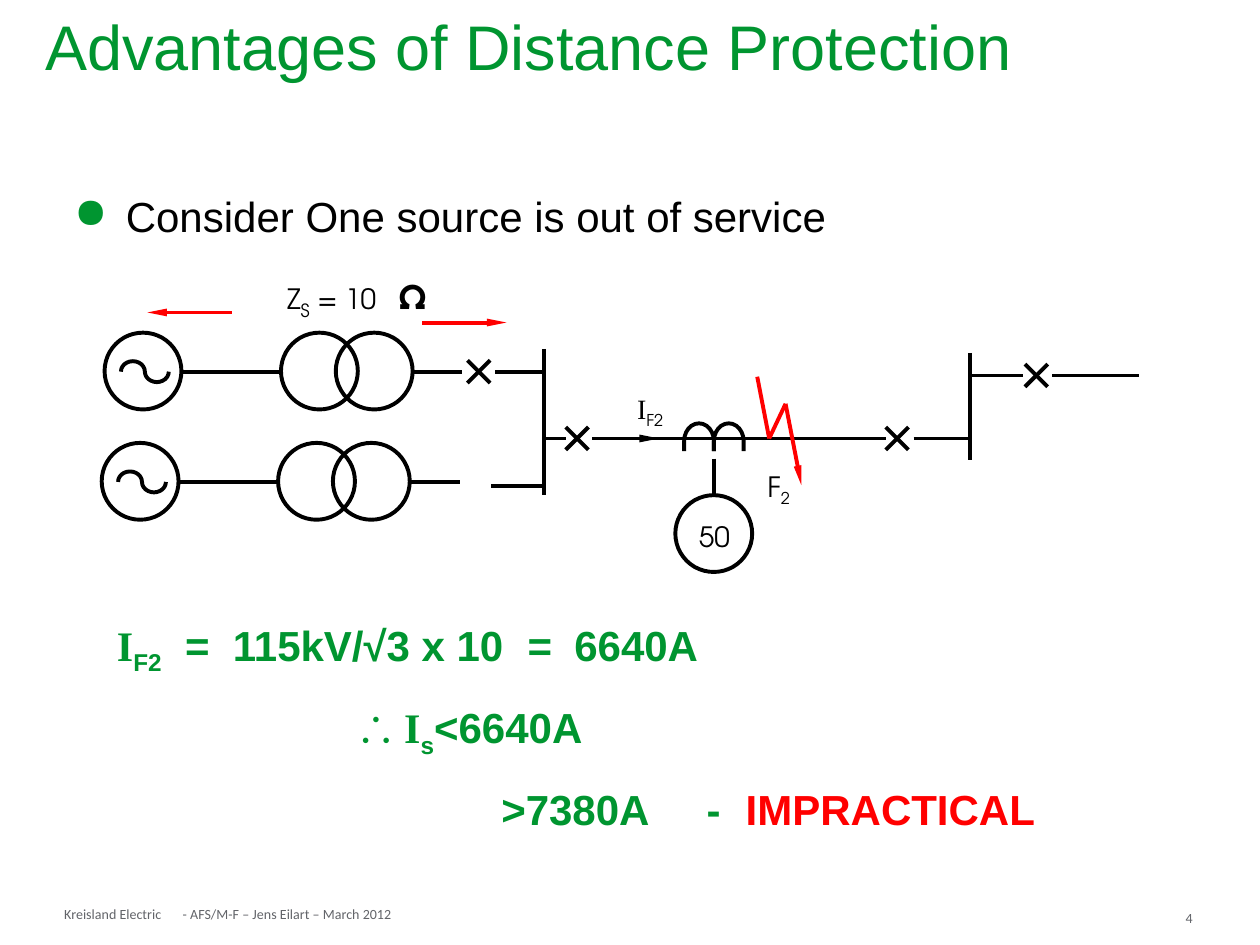
import math

import pptx
import pptx.dml.color
import pptx.enum.shapes
import pptx.enum.text
import pptx.oxml
import pptx.oxml.ns
import pptx.util

COLORS = {"green": "009530", "red": "FF0000", "black": "000000", "grey": "626469"}
ALIGN = {"l": pptx.enum.text.PP_ALIGN.LEFT, "c": pptx.enum.text.PP_ALIGN.CENTER}
GEO = "TeX Gyre Adventor"
SERIF = "Times New Roman"
CELL = 0.1  # grid of 100 columns by 75 rows, in inches


def grid(n):
    return pptx.util.Inches(n * CELL)


def rgb(name):
    return pptx.dml.color.RGBColor.from_string(COLORS[name])


def add_xml(parent, tag, **attrs):
    el = pptx.oxml.parse_xml(f"<a:{tag} {pptx.oxml.ns.nsdecls('a')}/>")
    for key, value in attrs.items():
        el.set(key, str(value))
    parent.append(el)
    return el


def write(p, text, size=16, font="Arial", color="black", bold=False, sub=False):
    r = p.add_run()
    r.text = text
    f = r.font
    f.size, f.name, f.bold = pptx.util.Pt(size), font, bold
    f.color.rgb = rgb(color)
    if sub:
        r._r.get_or_add_rPr().set("baseline", "-25000")


class Board:
    """Drawing style and the current slide."""
    weight = pptx.util.Pt(2.25)

    def __init__(self, slide):
        self.s = slide

    def title(self, x, y, w, h, text):
        sp = self.s.shapes.title
        sp.left, sp.top, sp.width, sp.height = map(grid, (x, y, w, h))
        tf = sp.text_frame
        tf.vertical_anchor = pptx.enum.text.MSO_ANCHOR.MIDDLE
        p = tf.paragraphs[0]
        p.alignment, p.line_spacing = ALIGN["l"], 0.9
        write(p, text, size=36, color="green")

    def text(self, x, y, w, h, paragraphs, align="l", inset=(0, 0), wrap=True,
             spacing=None, before=0, bullet=None, indent=0):
        """Each paragraph is (runs, tab stops); a run is (text, format)."""
        tf = self.s.shapes.add_textbox(*map(grid, (x, y, w, h))).text_frame
        tf.word_wrap = wrap
        tf.margin_left = tf.margin_right = grid(inset[0])
        tf.margin_top = tf.margin_bottom = grid(inset[1])
        for i, (runs, tabs) in enumerate(paragraphs):
            p = tf.add_paragraph() if i else tf.paragraphs[0]
            pr = p._p.get_or_add_pPr()
            if bullet:
                pr.set("marL", str(grid(indent)))
                pr.set("indent", str(-grid(indent)))
                add_xml(add_xml(pr, "buClr"), "srgbClr", val=COLORS["green"])
                add_xml(pr, "buChar", char=bullet)
            if tabs:
                stops = add_xml(pr, "tabLst")
                for stop in tabs:
                    add_xml(stops, "tab", pos=grid(stop), algn="l")
            p.alignment = ALIGN[align]
            if spacing:
                p.line_spacing = spacing
            if i and before:
                p.space_before = pptx.util.Pt(before)
            for text, fmt in runs:
                write(p, text, **fmt)

    def line(self, x1, y1, x2, y2, color="black", arrow=False):
        c = self.s.shapes.add_connector(
            pptx.enum.shapes.MSO_CONNECTOR.STRAIGHT, *map(grid, (x1, y1, x2, y2)))
        c.line.color.rgb, c.line.width = rgb(color), self.weight
        if arrow:
            add_xml(c.line._get_or_add_ln(), "tailEnd", type="triangle", w="sm", len="lg")
        add_xml(c._element.spPr, "effectLst")

    def outline(self, sp):
        sp.shadow.inherit = False
        sp.fill.background()
        sp.line.color.rgb, sp.line.width = rgb("black"), self.weight

    def circle(self, x, y, d=6.1):
        self.outline(self.s.shapes.add_shape(
            pptx.enum.shapes.MSO_SHAPE.OVAL, *map(grid, (x, y, d, d))))

    def curve(self, points):
        pts = [(grid(x), grid(y)) for x, y in points]
        fb = self.s.shapes.build_freeform(*pts[0])
        fb.add_line_segments(pts[1:], close=False)
        self.outline(fb.convert_to_shape())

    def breaker(self, x, y, r=0.9):
        self.line(x - r, y - r, x + r, y + r)
        self.line(x + r, y - r, x - r, y + r)

    def source(self, x, y):
        """Generator, transformer and their leads; y is the centre line."""
        for dx in (0, 14, 18.35):
            self.circle(x + dx, y - 3.1)
        self.line(x + 6.1, y, x + 14, y)
        self.line(x + 24.5, y, x + 28.4, y)
        turns = [math.pi * i / 12 for i in range(25)]
        self.curve([(x + 1.3 + 0.95 * (1 - math.cos(t) if t <= math.pi
                                       else 3 + math.cos(t)),
                     y - 0.83 * math.sin(t)) for t in turns])

    def coil(self, x, y, rx=1.18, ry=1.4, leg=0.8):
        arc = [(x + rx * (1 - math.cos(math.pi * i / 12)),
                y - ry * math.sin(math.pi * i / 12)) for i in range(13)]
        self.curve([(x, y + leg), *arc, (x + 2 * rx, y + leg)])


def main():
    prs = pptx.Presentation()
    prs.slide_width, prs.slide_height = grid(100), grid(75)
    b = Board(prs.slides.add_slide(prs.slide_layouts[5]))

    # Title and statement
    b.title(2.6, 0.8, 94.4, 6.4, "Advantages of Distance Protection")
    b.text(4.9, 14.2, 89.8, 6.1,
           [([("Consider One source is out of service", dict(size=24))], ())],
           inset=(1, 0.5), spacing=1.1, bullet="●", indent=4.1)

    # Sources; the second one is disconnected
    b.source(8.3, 29.5)
    b.source(8.07, 38.25)
    b.line(39, 38.6, 43, 38.6)

    # Busbars and feeder sections
    for x, top, bottom in ((43.2, 27.7, 39.3), (77, 28, 36.5)):
        b.line(x, top, x, bottom)
    for x1, x2, y in ((39.3, 43.2, 29.5), (43.2, 44.9, 34.8), (47, 70.3, 34.8),
                      (72.5, 76.9, 34.8), (77, 81.2, 29.8), (83.5, 90.4, 29.8)):
        b.line(x1, y, x2, y)
    for x, y in ((38, 29.5), (45.8, 34.8), (71.2, 34.8), (82.25, 29.8)):
        b.breaker(x, y)

    # Current transformer and relay
    for x in (54.3, 56.66):
        b.coil(x, 35)
    b.line(56.7, 36.4, 56.7, 39.3)
    b.circle(53.6, 39.3)

    # Current arrows and fault flash
    b.line(49.2, 34.8, 52.3, 34.8, arrow=True)
    b.line(33.5, 25.6, 40.2, 25.6, color="red", arrow=True)
    b.line(18.4, 24.8, 11.7, 24.8, color="red", arrow=True)
    flash = [(60.1, 29.9), (61.05, 34.8), (62.35, 32.05), (63.6, 38.5)]
    for start, end in zip(flash, flash[1:]):
        b.line(*start, *end, color="red", arrow=end == flash[-1])

    # Diagram labels
    geo, geo_sub = dict(font=GEO), dict(font=GEO, sub=True)
    for x, y, runs in (
            (59.5, 37.3, [("F", geo), ("2", geo_sub)]),
            (54.4, 41.2, [("50", geo)]),
            (49.3, 31.1, [("I", dict(font=SERIF)), ("F2", geo_sub)])):
        b.text(x, y, 4.6, 4.5, [(runs, ())], align="c")
    b.text(22.8, 21.8, 13, 5.3, [([
        ("Z", geo), ("S", dict(geo_sub, size=18)), (" = 10\t", geo),
        ("Ω", dict(font=GEO, size=20, bold=True))], (8.9,))])

    # Calculation
    eq = dict(size=24, color="green", bold=True)
    symbol, index = dict(eq, font=SERIF), dict(eq, sub=True)
    b.text(8.3, 48.2, 89.8, 23.5, [
        ([("I", symbol), ("F2", index), ("\t=\t115kV/√3 x 10\t=\t6640A", eq)],
         (5.4, 9.2, 32.6, 36.3)),
        ([("\t∴\t", eq), ("I", symbol), ("s", index), ("<6640A", eq)], (18.9, 22.8)),
        ([("\t>7380A\t-\t", eq), ("IMPRACTICAL", dict(eq, color="red"))],
         (30.5, 46.8, 49.9)),
    ], inset=(1, 0.5), spacing=1.1, before=11)

    # Footer
    small = dict(size=8, font="Calibri", color="grey")
    for x, y, w, text in ((5.1, 71.9, 8.8, "Kreisland Electric"),
                          (14.5, 71.9, 17.5, "- AFS/M-F – Jens Eilart – March 2012"),
                          (94.1, 72.2, 3.2, "4")):
        b.text(x, y, w, 1.3, [([(text, small)], ())], wrap=False)

    prs.save("out.pptx")


if __name__ == "__main__":
    main()
